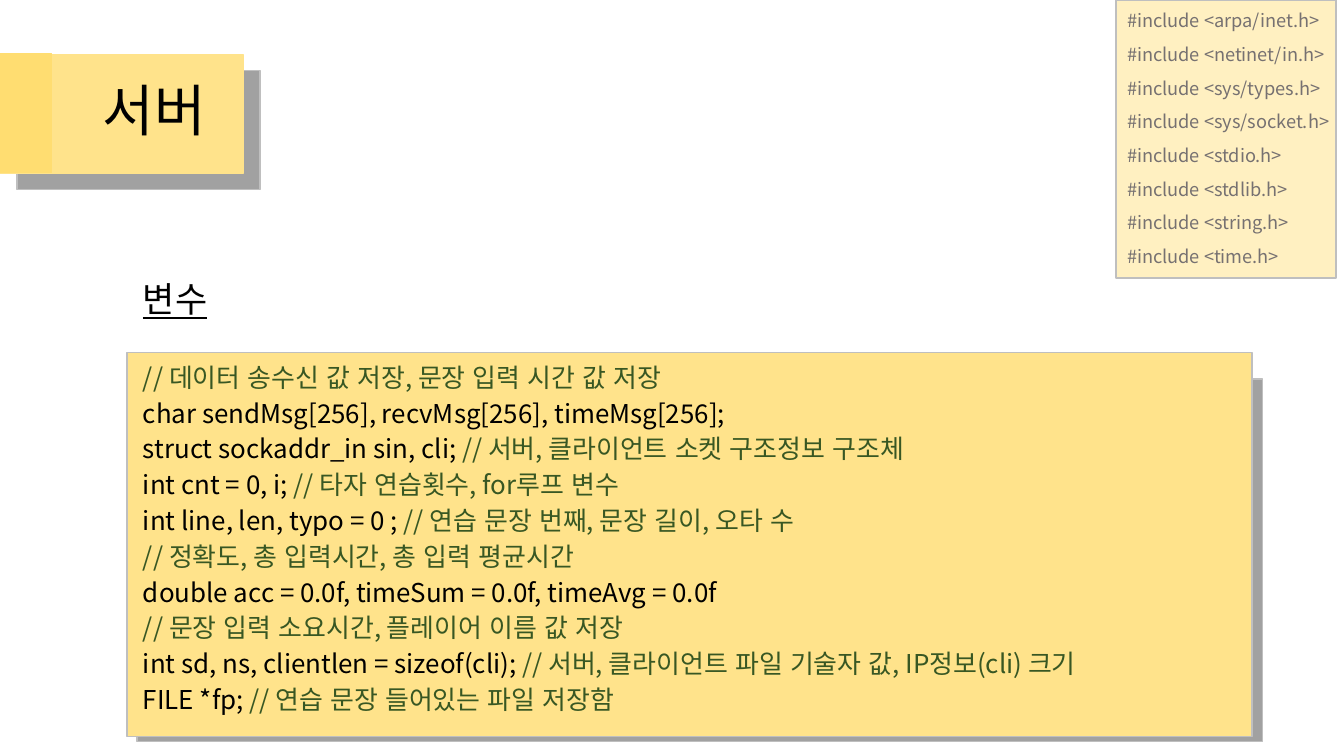
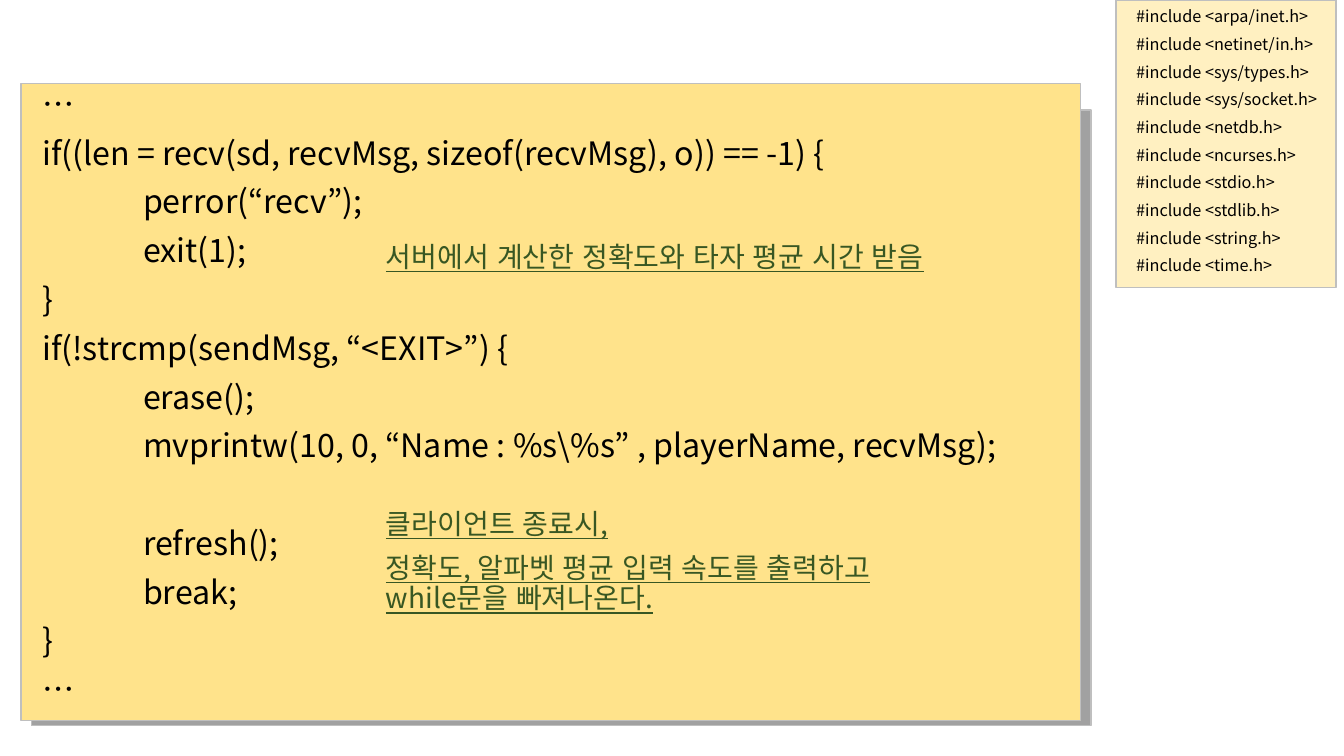
import dataclasses

import pptx
import pptx.dml.color
import pptx.enum.lang
import pptx.enum.shapes
import pptx.enum.text
import pptx.oxml.ns
import pptx.util
from lxml import etree

Inches = pptx.util.Inches


@dataclasses.dataclass(frozen=True)
class Theme:
    """Colours, font and type sizes shared by the slides."""
    font: str = "Noto Sans CJK KR"
    panel: str = "FFE38B"
    accent: str = "FFDD71"
    pale: str = "FFF0C1"
    shadow: str = "A1A1A1"
    border: str = "BFBFBF"
    ink: str = "000000"
    muted: str = "767171"
    comment: str = "385723"
    title_size: float = 40
    heading_size: float = 25
    code_size: float = 23
    note_size: float = 20
    variable_size: float = 18.5
    include_size: float = 13
    small_include_size: float = 11.6


@dataclasses.dataclass(frozen=True)
class Style:
    """Type style of one block of text."""
    size: float
    color: str
    spacing: float = 0.9
    before: float = 10
    underline: bool = False


THEME = Theme()
TITLE = Style(THEME.title_size, THEME.ink, before=0)
HEADING = Style(THEME.heading_size, THEME.ink, underline=True)
VARIABLES = Style(THEME.variable_size, THEME.ink, 0.7)
CODE = Style(THEME.code_size, THEME.ink)
NOTE = Style(THEME.note_size, THEME.comment, underline=True)
SERVER_INCLUDES = Style(THEME.include_size, THEME.muted)
CLIENT_INCLUDES = Style(THEME.small_include_size, THEME.ink, 0.7)

NETWORK_HEADERS = ["arpa/inet.h", "netinet/in.h", "sys/types.h", "sys/socket.h"]
TERMINAL_HEADERS = ["netdb.h", "ncurses.h"]
STANDARD_HEADERS = ["stdio.h", "stdlib.h", "string.h", "time.h"]

VARIABLE_LINES = [
    "// 데이터 송수신 값 저장, 문장 입력 시간 값 저장",
    "char sendMsg[256], recvMsg[256], timeMsg[256];",
    "struct sockaddr_in sin, cli; // 서버, 클라이언트 소켓 구조정보 구조체",
    "int cnt = 0, i; // 타자 연습횟수, for루프 변수",
    "int line, len, typo = 0 ; // 연습 문장 번째, 문장 길이, 오타 수",
    "// 정확도, 총 입력시간, 총 입력 평균시간",
    "double acc = 0.0f, timeSum = 0.0f, timeAvg = 0.0f",
    "// 문장 입력 소요시간, 플레이어 이름 값 저장",
    "int sd, ns, clientlen = sizeof(cli); // 서버, 클라이언트 파일 기술자 값, IP정보(cli) 크기",
    "FILE *fp; // 연습 문장 들어있는 파일 저장함",
]

RECEIVE_LINES = [
    "…",
    "if((len = recv(sd, recvMsg, sizeof(recvMsg), o)) == -1) {",
    "\tperror(“recv”);",
    "\texit(1);",
    "}",
    "if(!strcmp(sendMsg, “<EXIT>”) {",
    "\terase();",
    "\tmvprintw(10, 0, “Name : %s\\%s” , playerName, recvMsg);",
    "\trefresh();",
    "\tbreak;",
    "}",
    "…",
]
LINE_AFTER_GAP = RECEIVE_LINES.index("\trefresh();")
GAP_BEFORE = 44.8


def rgb(color):
    """Turn a hex string into a colour."""
    return pptx.dml.color.RGBColor.from_string(color)


def add_box(slide, left, top, width, height, fill, line):
    """Draw a flat bordered rectangle."""
    box = slide.shapes.add_shape(
        pptx.enum.shapes.MSO_SHAPE.RECTANGLE,
        Inches(left), Inches(top), Inches(width), Inches(height))
    box.shadow.inherit = False
    box.fill.solid()
    box.fill.fore_color.rgb = rgb(fill)
    box.line.color.rgb = rgb(line)
    box.line.width = pptx.util.Pt(1)


def add_run(paragraph, text, style, color):
    """Add one run in the theme font."""
    run = paragraph.add_run()
    run.text = text
    run.font.name = THEME.font
    run.font.language_id = pptx.enum.lang.MSO_LANGUAGE_ID.KOREAN
    run.font.size = pptx.util.Pt(style.size)
    run.font.color.rgb = rgb(color)
    if style.underline:
        run.font.underline = True
    east_asian = etree.SubElement(run.font._element, pptx.oxml.ns.qn("a:ea"))
    east_asian.set("typeface", THEME.font)


def add_lines(slide, left, top, width, height, lines, style, middle=False):
    """Write lines, indenting tabbed ones and colouring comments."""
    frame = slide.shapes.add_textbox(
        Inches(left), Inches(top), Inches(width), Inches(height)).text_frame
    frame.word_wrap = True
    frame.margin_right = 0
    if middle:
        frame.vertical_anchor = pptx.enum.text.MSO_ANCHOR.MIDDLE
    for index, line in enumerate(lines):
        paragraph = frame.add_paragraph() if index else frame.paragraphs[0]
        paragraph.line_spacing = style.spacing
        paragraph.space_before = pptx.util.Pt(style.before)
        if line.startswith("\t"):
            paragraph._p.get_or_add_pPr().set("marL", str(Inches(1)))
        code, slashes, comment = line.strip().partition("//")
        if code:
            add_run(paragraph, code, style, style.color)
        if slashes:
            add_run(paragraph, slashes + comment, style, THEME.comment)
    return frame


def add_panel(slide, left, top, width, height):
    """Draw a code panel with its offset shadow."""
    add_box(slide, left + 0.1, top + 0.26, width, height - 0.21, THEME.shadow, THEME.border)
    add_box(slide, left, top, width, height, THEME.panel, THEME.border)


def add_title(slide, left, top, width, height, title):
    """Draw the title band with its shadow and accent edge."""
    add_box(slide, left + 0.17, top + 0.16, width, height, THEME.shadow, THEME.border)
    add_box(slide, left, top, width, height, THEME.panel, THEME.panel)
    add_box(slide, left - 0.01, top - 0.01, 0.52, height, THEME.accent, THEME.accent)
    add_lines(slide, left + 0.92, top - 0.14, width + 0.47, 1.45, [title], TITLE, True)


def add_includes(slide, left, top, width, height, headers, style, inset):
    """List the included headers in a pale box."""
    add_box(slide, left, top, width, height, THEME.pale, THEME.border)
    lines = [f"#include <{header}>" for header in headers]
    add_lines(slide, left + inset, top + 0.07, 13.33 - left - inset, 2.77, lines, style)


def add_variables(slide, left, top, width, height):
    """Place the variable heading above its code panel."""
    add_panel(slide, left, top, width, height)
    add_lines(slide, left + 0.06, top + 0.12, width - 0.32, height - 0.12,
              VARIABLE_LINES, VARIABLES)
    add_lines(slide, left + 0.06, top - 0.75, width, 0.6, ["변수"], HEADING)


def add_receive_code(slide, left, top, width, height):
    """Place the receive code with its two notes."""
    add_panel(slide, left, top, width, height)
    code = add_lines(slide, left + 0.11, top, width - 0.22, height, RECEIVE_LINES, CODE)
    code.paragraphs[LINE_AFTER_GAP].space_before = pptx.util.Pt(GAP_BEFORE)
    add_lines(slide, left + 3.52, top + 1.53, 6.32, 0.61,
              ["서버에서 계산한 정확도와 타자 평균 시간 받음"], NOTE)
    add_lines(slide, left + 3.52, top + 4.18, 5.46, 1.23,
              ["클라이언트 종료시,",
               "정확도, 알파벳 평균 입력 속도를 출력하고 while문을 빠져나온다."], NOTE)


def build_server(slide):
    """Compose the server slide."""
    add_variables(slide, 1.26, 3.5, 11.16, 3.81)
    add_title(slide, 0, 0.54, 2.41, 1.18, "서버")
    add_includes(slide, 11.07, 0, 2.18, 2.76,
                 NETWORK_HEADERS + STANDARD_HEADERS, SERVER_INCLUDES, 0.01)


def build_client(slide):
    """Compose the client slide."""
    add_receive_code(slide, 0.21, 0.83, 10.51, 6.32)
    add_includes(slide, 11.07, 0, 2.18, 2.85,
                 NETWORK_HEADERS + TERMINAL_HEADERS + STANDARD_HEADERS,
                 CLIENT_INCLUDES, 0.1)


def main():
    """Build and save the presentation."""
    deck = pptx.Presentation()
    deck.slide_width = Inches(13.33)
    deck.slide_height = Inches(7.5)
    for build in (build_server, build_client):
        build(deck.slides.add_slide(deck.slide_layouts[6]))
    deck.save("out.pptx")


if __name__ == "__main__":
    main()
